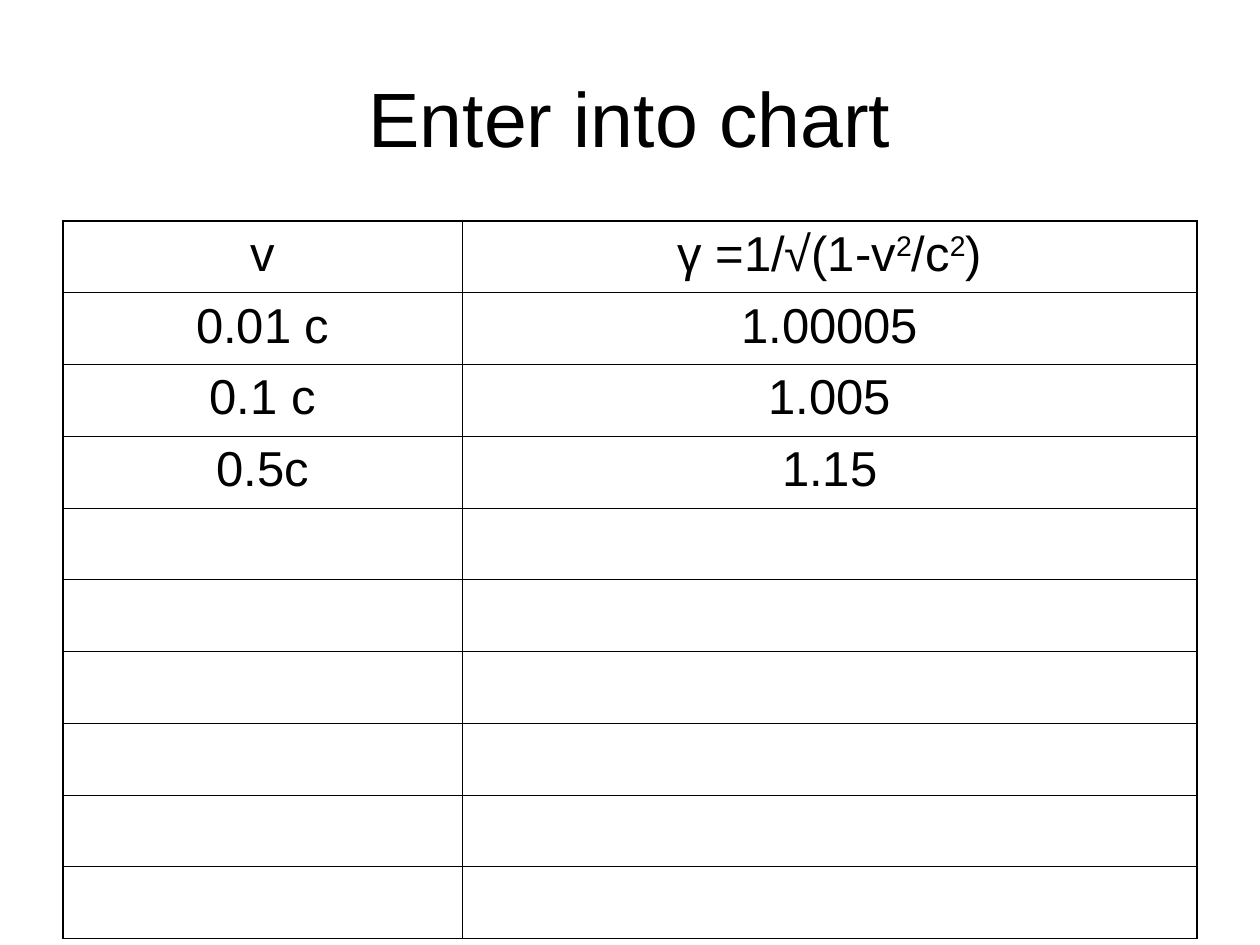
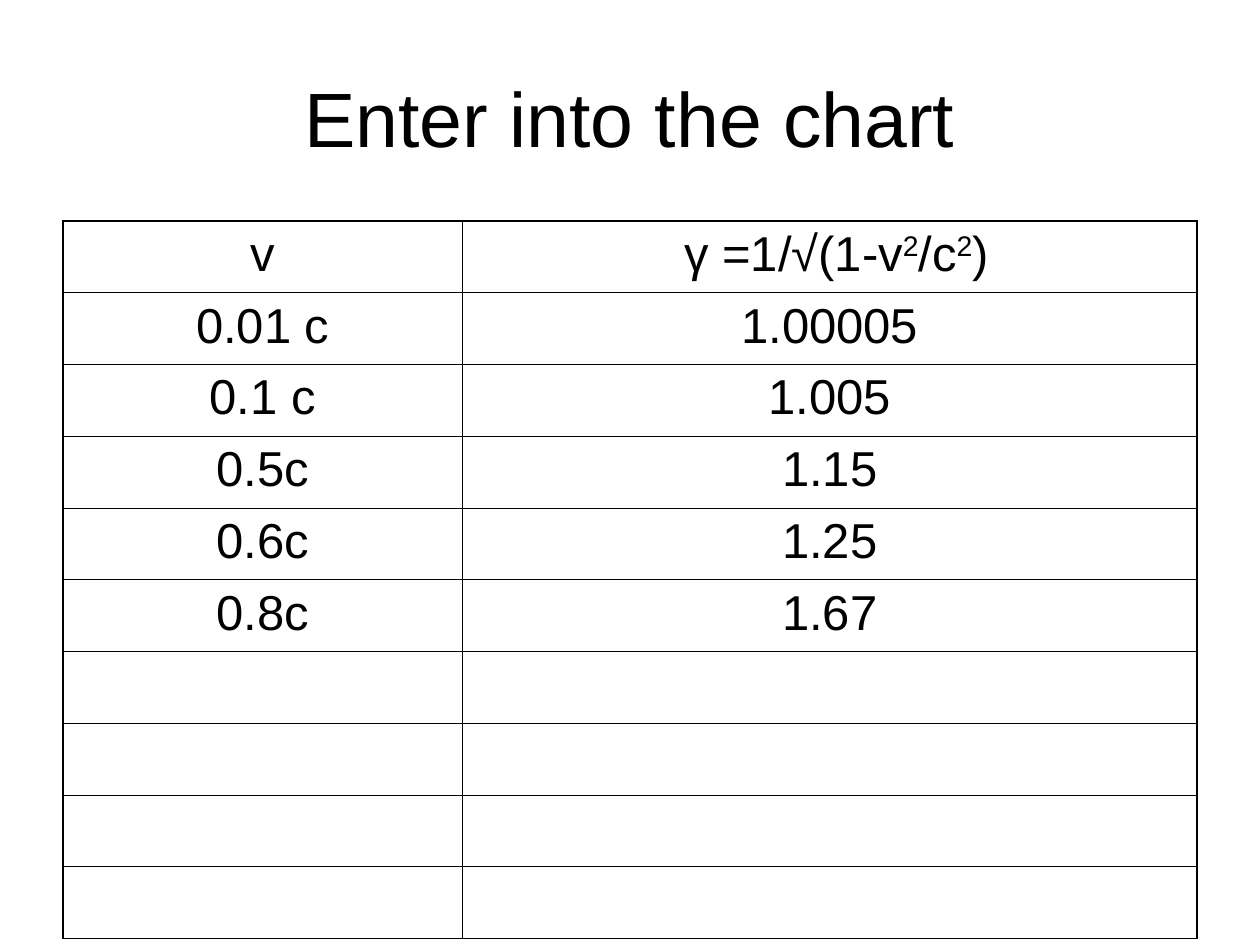
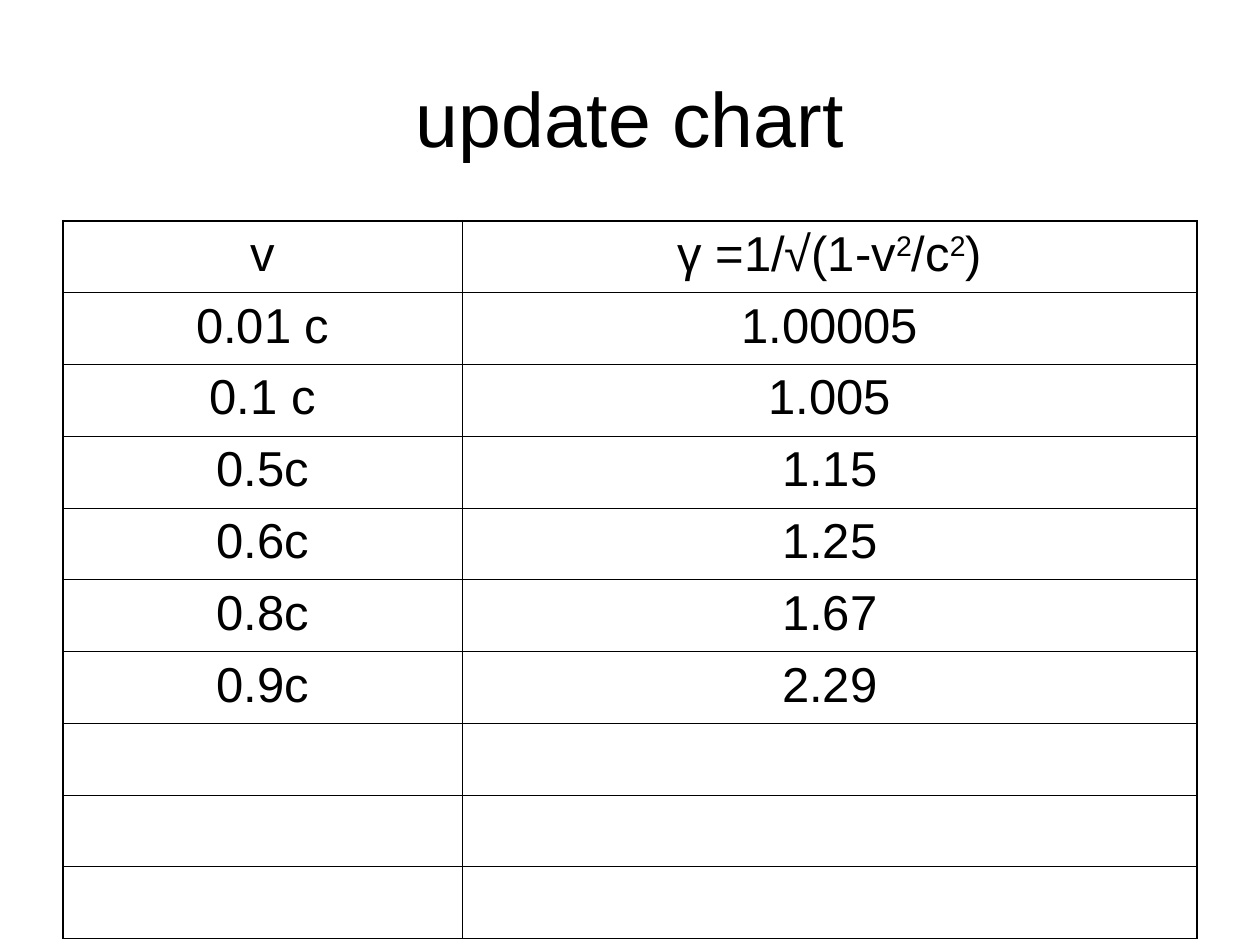
from lxml import etree
from pptx import Presentation
from pptx import util as u
from pptx.dml.color import RGBColor
from pptx.enum import text
from pptx.oxml import ns

BLACK = RGBColor(0x00, 0x00, 0x00)
WHITE = RGBColor(0xFF, 0xFF, 0xFF)
FONT = "Arial"

LEFT, WIDTH = u.Cm(1.27), u.Cm(22.86)
COLUMN_WIDTHS = (u.Cm(8.05), u.Cm(14.81))
ROW_COUNT = 10
THIN, THICK = u.Pt(0.45), u.Pt(1.08)

# Text between carets is superscript
GAMMA = "γ =1/√(1-v^2^/c^2^)"
VALUES = [
    ("0.01 c", "1.00005"),
    ("0.1 c", "1.005"),
    ("0.5c", "1.15"),
    ("0.6c", "1.25"),
    ("0.8c", "1.67"),
    ("0.9c", "2.29"),
]

# Title, heading of the second column, number of values filled in
SLIDES = [
    ("Enter into chart", GAMMA, 3),
    ("Enter into the chart", " " + GAMMA, 5),
    ("update chart", GAMMA, 6),
]


def write_text(frame, content, size, color=BLACK, align=text.PP_ALIGN.CENTER):
    para = frame.paragraphs[0]
    para.alignment = align
    for index, part in enumerate(content.split("^")):
        span = para.add_run()
        span.text = part
        span.font.name = FONT
        span.font.size = u.Pt(size)
        span.font.color.rgb = color
        if index % 2:
            span.font._element.set("baseline", "30000")


def add_title(page, content):
    title = page.shapes.title
    title.left, title.top = LEFT, u.Cm(0.76)
    title.width, title.height = WIDTH, u.Cm(3.18)
    title.text_frame.word_wrap = True
    title.text_frame.vertical_anchor = text.MSO_ANCHOR.MIDDLE
    write_text(title.text_frame, content, size=44)


def set_border(cell, side, width):
    properties = cell._tc.get_or_add_tcPr()
    line = etree.SubElement(properties, ns.qn(f"a:ln{side}"), w=str(width))
    fill = etree.SubElement(line, ns.qn("a:solidFill"))
    etree.SubElement(fill, ns.qn("a:srgbClr"), val=str(BLACK))


def add_value_table(page, rows):
    columns = len(COLUMN_WIDTHS)
    table = page.shapes.add_table(
        ROW_COUNT, columns, LEFT, u.Cm(4.45), WIDTH, u.Cm(14.47)).table
    table.first_row = table.horz_banding = False
    for column, width in zip(table.columns, COLUMN_WIDTHS):
        column.width = width

    # Thick frame around the table, thin lines inside
    for r in range(ROW_COUNT):
        for c in range(columns):
            cell = table.cell(r, c)
            on_edge = {"L": c == 0, "R": c == columns - 1,
                       "T": r == 0, "B": r == ROW_COUNT - 1}
            for side, outer in on_edge.items():
                set_border(cell, side, THICK if outer else THIN)
            cell.fill.background()

    for r, row in enumerate(rows):
        for c, content in enumerate(row):
            write_text(table.cell(r, c).text_frame, content, size=28)


def main():
    deck = Presentation()
    deck.slide_width, deck.slide_height = u.Cm(25.4), u.Cm(19.05)
    background = deck.slide_master.background.fill
    background.solid()
    background.fore_color.rgb = WHITE

    title_only = deck.slide_layouts.get_by_name("Title Only")
    for title, heading, filled in SLIDES:
        page = deck.slides.add_slide(title_only)
        add_title(page, title)
        add_value_table(page, [("v", heading)] + VALUES[:filled])

    deck.save("out.pptx")


if __name__ == "__main__":
    main()
